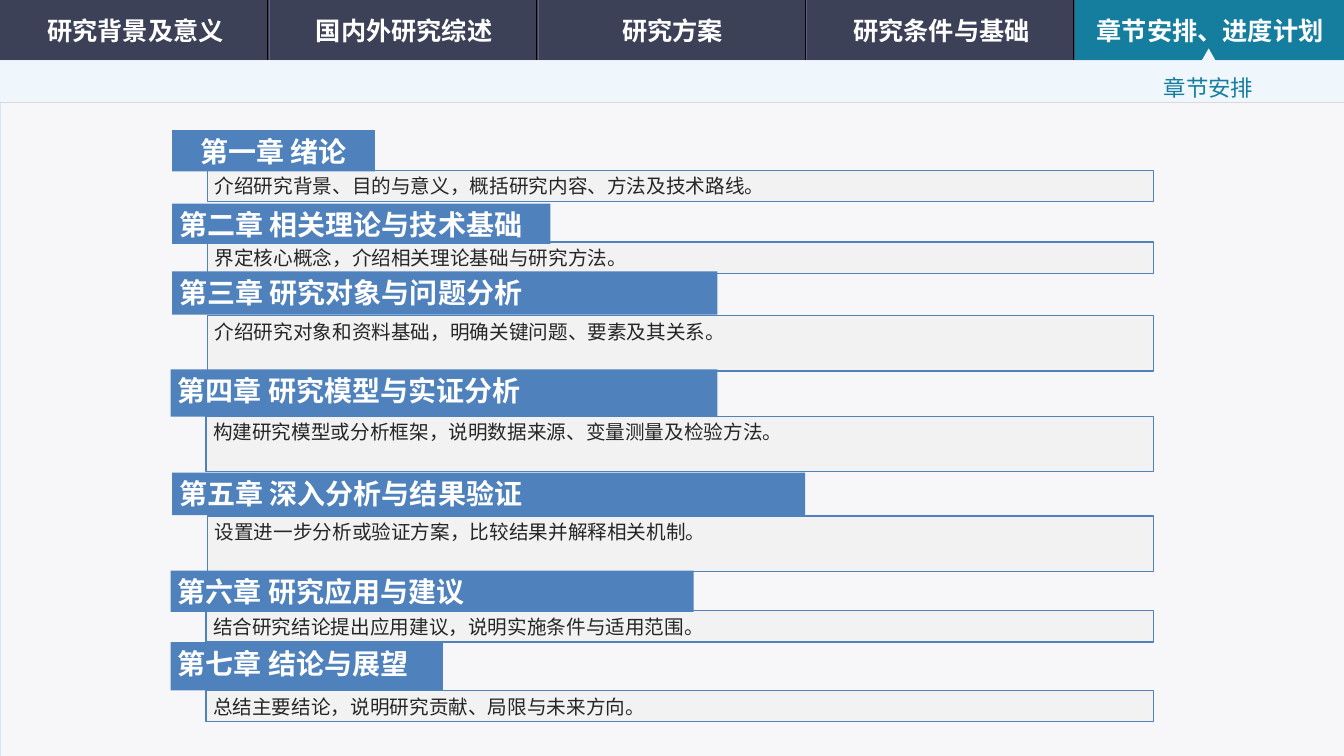
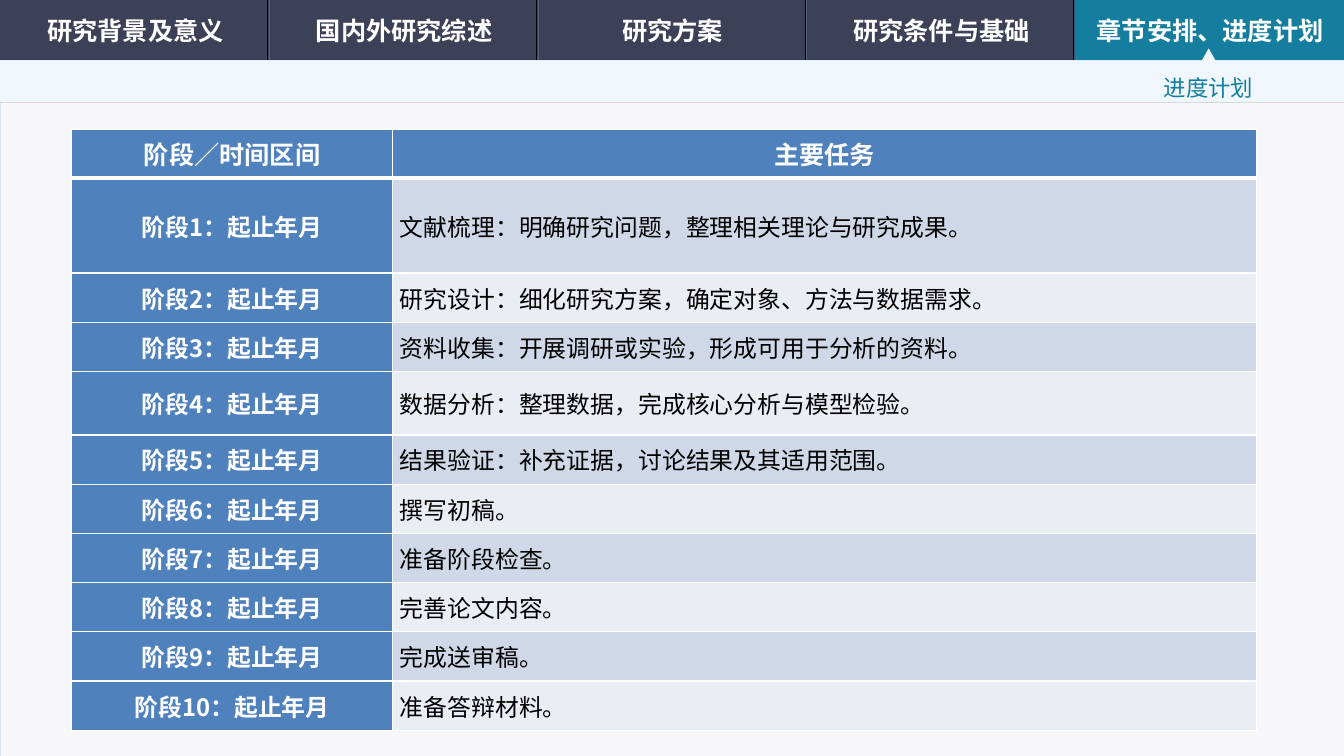
from lxml import etree
from pptx import Presentation
from pptx import util as u
from pptx.dml import color
from pptx.enum import shapes, text
from pptx.oxml import ns

WIDTH, HEIGHT = 33.87, 19.05
NAV_HEIGHT, STRIP_BOTTOM = 1.52, 2.59
FONT = "Noto Sans CJK SC"
NAVY, TEAL, BLUE, WHITE, BLACK = "3C4157", "157E9F", "4F81BD", "FFFFFF", "000000"
BANDS = ("E9EDF4", "D0D8E8")
LEFT, CENTER = text.PP_ALIGN.LEFT, text.PP_ALIGN.CENTER
TOP, MIDDLE = text.MSO_ANCHOR.TOP, text.MSO_ANCHOR.MIDDLE

TABS = ("研究背景及意义", "国内外研究综述", "研究方案", "研究条件与基础", "章节安排、进度计划")
TAB_STEP = 6.77

CHAPTERS = (
    ("第一章 绪论", (4.34, 3.28, 5.11, 1.04), CENTER,
     "介绍研究背景、目的与意义，概括研究内容、方法及技术路线。", 4.29, 0.79),
    ("第二章 相关理论与技术基础", (4.34, 5.13, 9.53, 1.02), LEFT,
     "界定核心概念，介绍相关理论基础与研究方法。", 6.1, 0.79),
    ("第三章 研究对象与问题分析", (4.34, 6.84, 13.74, 1.09), LEFT,
     "介绍研究对象和资料基础，明确关键问题、要素及其关系。", 7.95, 1.4),
    ("第四章 研究模型与实证分析", (4.3, 9.31, 13.78, 1.19), LEFT,
     "构建研究模型或分析框架，说明数据来源、变量测量及检验方法。", 10.49, 1.4),
    ("第五章 深入分析与结果验证", (4.34, 11.91, 15.95, 1.07), LEFT,
     "设置进一步分析或验证方案，比较结果并解释相关机制。", 13, 1.4),
    ("第六章 研究应用与建议", (4.3, 14.38, 13.18, 1.04), LEFT,
     "结合研究结论提出应用建议，说明实施条件与适用范围。", 15.39, 0.79),
    ("第七章 结论与展望", (4.3, 16.18, 6.86, 1.22), LEFT,
     "总结主要结论，说明研究贡献、局限与未来方向。", 17.4, 0.79),
)
BODY_INDENT, BODY_RIGHT = 0.89, 29.07

HEADINGS = ("阶段／时间区间", "主要任务")
TASKS = (
    "文献梳理：明确研究问题，整理相关理论与研究成果。",
    "研究设计：细化研究方案，确定对象、方法与数据需求。",
    "资料收集：开展调研或实验，形成可用于分析的资料。",
    "数据分析：整理数据，完成核心分析与模型检验。",
    "结果验证：补充证据，讨论结果及其适用范围。",
    "撰写初稿。",
    "准备阶段检查。",
    "完善论文内容。",
    "完成送审稿。",
    "准备答辩材料。",
)
ROW_HEIGHT, TALL_ROWS = 1.24, {1: 2.39, 4: 1.6}


def rgb(value):
    """Turn a hex string into a colour."""
    return color.RGBColor.from_string(value)


def write(frame, words, size=18, ink=WHITE, bold=False, align=LEFT, spacing=None):
    """Put one formatted paragraph into a text frame."""
    paragraph = frame.paragraphs[0]
    paragraph.alignment = align
    if spacing:
        paragraph.line_spacing = spacing
    run = paragraph.add_run()
    run.text = words
    run.font.size = u.Pt(size)
    run.font.bold = bold
    run.font.name = FONT
    run.font.color.rgb = rgb(ink)
    east_asian = etree.SubElement(run._r.get_or_add_rPr(), ns.qn("a:ea"))
    east_asian.set("typeface", FONT)


def draw_border(cell, side, width):
    """Give one side of a table cell a white line."""
    properties = cell._tc.get_or_add_tcPr()
    line = etree.SubElement(properties, ns.qn(f"a:ln{side}"), w=str(int(u.Pt(width))))
    solid = etree.SubElement(line, ns.qn("a:solidFill"))
    etree.SubElement(solid, ns.qn("a:srgbClr"), val=WHITE)


class Deck:
    """Hold the shared style and the current slide."""

    def __init__(self):
        """Start an empty presentation."""
        self.presentation = Presentation()
        self.presentation.slide_width = u.Cm(WIDTH)
        self.presentation.slide_height = u.Cm(HEIGHT)
        self.slide = None

    def paint(self, shape, fill, line=None, width=1):
        """Set the fill and outline of a shape and drop its shadow."""
        shape.shadow.inherit = False
        shape.fill.solid()
        shape.fill.fore_color.rgb = rgb(fill)
        if line:
            shape.line.color.rgb = rgb(line)
            shape.line.width = u.Pt(width)
        else:
            shape.line.fill.background()

    def box(self, left, top, width, height, fill, line=None, line_width=1):
        """Draw a rectangle."""
        shape = self.slide.shapes.add_shape(
            shapes.MSO_SHAPE.RECTANGLE, *map(u.Cm, (left, top, width, height)))
        self.paint(shape, fill, line, line_width)
        return shape

    def card(self, place, words, fill, line=None, **style):
        """Draw a filled rectangle with text at its top."""
        frame = self.box(*place, fill, line).text_frame
        frame.word_wrap = True
        frame.vertical_anchor = TOP
        frame.margin_left = frame.margin_right = u.Cm(0.18)
        frame.margin_top = frame.margin_bottom = u.Cm(0.1)
        write(frame, words, **style)

    def label(self, left, top, width, height, words, wrap=True, **style):
        """Add a vertically centred text box."""
        shape = self.slide.shapes.add_textbox(*map(u.Cm, (left, top, width, height)))
        frame = shape.text_frame
        frame.word_wrap = wrap
        frame.vertical_anchor = MIDDLE
        write(frame, words, **style)

    def line(self, start, end, stroke, width):
        """Draw a straight line."""
        connector = self.slide.shapes.add_connector(
            shapes.MSO_CONNECTOR.STRAIGHT, *map(u.Cm, (*start, *end)))
        connector.line.color.rgb = rgb(stroke)
        connector.line.width = u.Pt(width)
        etree.SubElement(connector._element.spPr, ns.qn("a:effectLst"))

    def outline(self, points, fill):
        """Draw a closed filled polygon."""
        corners = [(u.Cm(x), u.Cm(y)) for x, y in points]
        builder = self.slide.shapes.build_freeform(*corners[0])
        builder.add_line_segments(corners[1:], close=True)
        self.paint(builder.convert_to_shape(), fill)

    def new_slide(self, subtitle):
        """Add a slide with the navigation bar and a subtitle."""
        self.slide = self.presentation.slides.add_slide(self.presentation.slide_layouts[6])
        self.box(0, 0, WIDTH, NAV_HEIGHT, NAVY)
        self.box(0, NAV_HEIGHT, WIDTH, HEIGHT - NAV_HEIGHT, "F7F7F9", "D4E7F9", 0.5)
        for index in range(1, len(TABS)):
            x = index * TAB_STEP - 0.02
            self.line((x, 0), (x, NAV_HEIGHT), BLACK, 0.5)
            self.line((x + 0.04, 0), (x + 0.04, NAV_HEIGHT), "596181", 0.75)
        active_left = (len(TABS) - 1) * TAB_STEP
        self.box(active_left, 0, WIDTH - active_left, NAV_HEIGHT, TEAL)
        self.outline(
            ((30.46, 1.22), (30.63, NAV_HEIGHT), (WIDTH, NAV_HEIGHT), (WIDTH, STRIP_BOTTOM),
             (0, STRIP_BOTTOM), (0, NAV_HEIGHT), (30.29, NAV_HEIGHT)), "EFF6FC")
        self.line((0, STRIP_BOTTOM), (WIDTH, STRIP_BOTTOM), "D9D9D9", 0.5)
        for index, tab in enumerate(TABS):
            self.label(0.05 + index * TAB_STEP, 0.25, 6.73, 1.04, tab, bold=True, align=CENTER)
        self.label(29.08, 1.45, 2.79, 1.17, subtitle, wrap=False, size=16, ink=TEAL, spacing=1.5)

    def table(self, left, top, widths, heights):
        """Add an empty table with the given column and row sizes."""
        frame = self.slide.shapes.add_table(
            len(heights), len(widths), u.Cm(left), u.Cm(top),
            u.Cm(sum(widths)), u.Cm(sum(heights)))
        for column, width in zip(frame.table.columns, widths):
            column.width = u.Cm(width)
        for row, height in zip(frame.table.rows, heights):
            row.height = u.Cm(height)
        return frame.table

    def cell(self, table, row, column, words, fill, **style):
        """Fill one table cell."""
        cell = table.cell(row, column)
        widths = {"L": 1, "R": 1, "T": 3 if row == 1 else 1, "B": 3 if row == 0 else 1}
        for side, width in widths.items():
            draw_border(cell, side, width)
        cell.fill.solid()
        cell.fill.fore_color.rgb = rgb(fill)
        cell.vertical_anchor = MIDDLE
        cell.margin_left = cell.margin_right = u.Cm(0.18)
        cell.margin_top = cell.margin_bottom = 0
        write(cell.text_frame, words, **style)


def add_chapters(deck):
    """Build the chapter outline slide."""
    deck.new_slide("章节安排")
    for title, place, align, body, top, height in CHAPTERS:
        left = place[0] + BODY_INDENT
        deck.card((left, top, BODY_RIGHT - left, height), body, "F2F2F2", BLUE,
                  size=14, ink="262626")
        deck.card(place, title, BLUE, size=20, bold=True, align=align)


def add_schedule(deck):
    """Build the schedule slide."""
    deck.new_slide("进度计划")
    heights = [TALL_ROWS.get(row, ROW_HEIGHT) for row in range(len(TASKS) + 1)]
    table = deck.table(1.8, 3.25, (8.1, 21.77), heights)
    for column, heading in enumerate(HEADINGS):
        deck.cell(table, 0, column, heading, BLUE, bold=True, align=CENTER)
    for row, task in enumerate(TASKS, 1):
        deck.cell(table, row, 0, f"阶段{row}：起止年月", BLUE, size=17, bold=True, align=CENTER)
        deck.cell(table, row, 1, task, BANDS[row % 2], size=17, ink=BLACK)


def main():
    """Build and save the presentation."""
    deck = Deck()
    add_chapters(deck)
    add_schedule(deck)
    deck.presentation.save("out.pptx")


if __name__ == "__main__":
    main()
